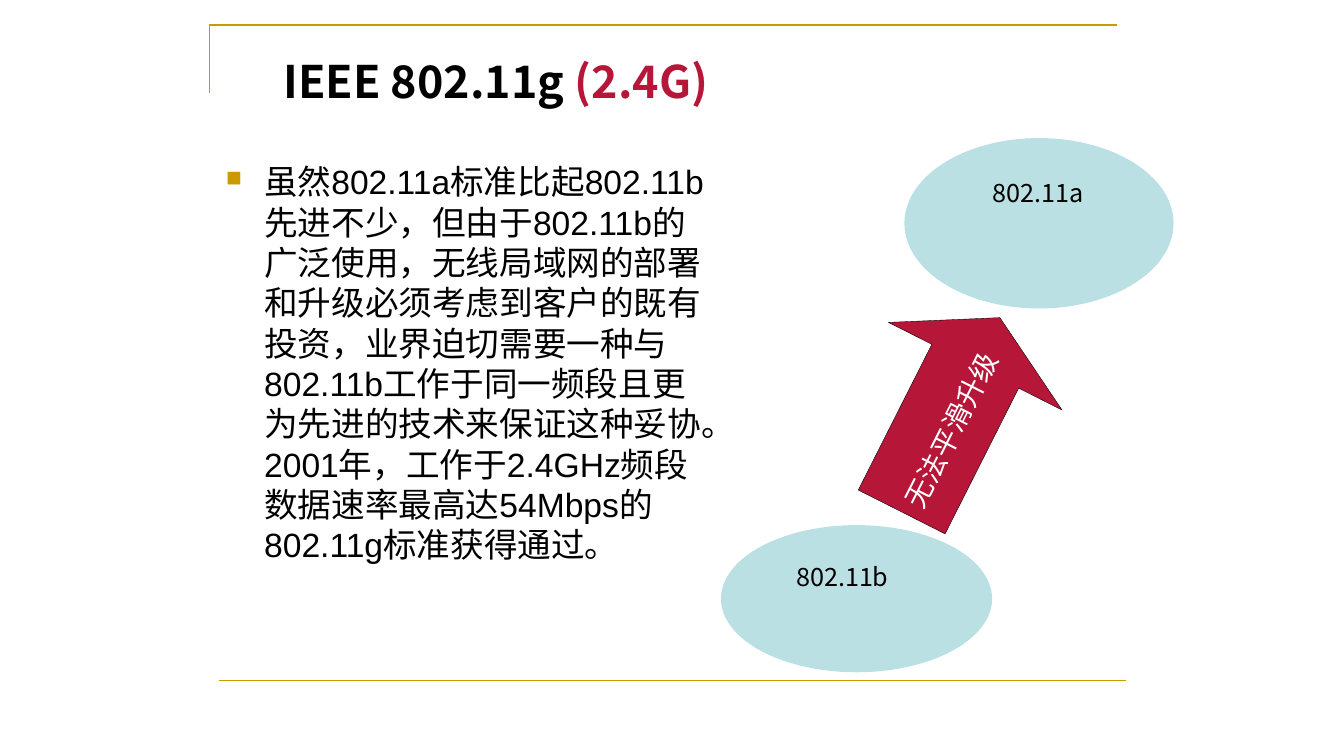
from itertools import groupby

from lxml.etree import SubElement
from pptx import Presentation
from pptx.dml.color import RGBColor
from pptx.enum.shapes import MSO_CONNECTOR as Connector, MSO_SHAPE as Shape
from pptx.enum.text import MSO_ANCHOR as Anchor, PP_ALIGN as Align
from pptx.oxml.ns import qn
from pptx.util import Inches, Pt

COLORS = {"gold": "CC9900", "red": "B61638", "aqua": "BBE0E3",
          "black": "000000", "white": "FFFFFF"}
CJK, LATIN = "Noto Sans CJK SC", "Arial"
UPGRADE_ANGLE = 296.8
BODY = ("虽然802.11a标准比起802.11b先进不少，但由于802.11b的广泛使用，"
        "无线局域网的部署和升级必须考虑到客户的既有投资，业界迫切需要一种与"
        "802.11b工作于同一频段且更为先进的技术来保证这种妥协。2001年，工作于"
        "2.4GHz频段数据速率最高达54Mbps的802.11g标准获得通过。")


def rgb(name):
    return RGBColor.from_string(COLORS[name])


def add_span(para, text, size, font=CJK, color="black", bold=False):
    span = para.add_run()
    span.text = text
    span.font.size, span.font.bold, span.font.name = Pt(size), bold, font
    span.font.color.rgb = rgb(color)
    SubElement(span.font._element, qn("a:ea"), typeface=font)


class SlideBuilder:
    def __init__(self, page):
        self.shapes = page.shapes

    def outline(self, shape, color, width):
        shape.line.color.rgb = rgb(color)
        shape.line.width = Pt(width)

    def corner(self, points):
        (x, y), *rest = [(Inches(x), Inches(y)) for x, y in points]
        builder = self.shapes.build_freeform(x, y)
        builder.add_line_segments(rest, close=False)
        corner = builder.convert_to_shape()
        corner.shadow.inherit = False
        corner.fill.background()
        self.outline(corner, "gold", 1)

    def rule(self, left, right, y):
        rule = self.shapes.add_connector(
            Connector.STRAIGHT, Inches(left), Inches(y), Inches(right), Inches(y))
        self.outline(rule, "gold", 1)
        SubElement(rule._element.spPr, qn("a:effectLst"))

    def shape(self, kind, area, fill):
        shape = self.shapes.add_shape(kind, *map(Inches, area))
        shape.shadow.inherit = False
        shape.fill.solid()
        shape.fill.fore_color.rgb = rgb(fill)
        shape.line.fill.background()
        return shape

    def text(self, area, align=Align.LEFT, spacing=1.4, wrap=True, anchor=Anchor.TOP):
        """Add a text box and return it with its first paragraph."""
        box = self.shapes.add_textbox(*map(Inches, area))
        frame = box.text_frame
        frame.word_wrap, frame.vertical_anchor = wrap, anchor
        frame.margin_left = frame.margin_right = Inches(0.05)
        frame.margin_top = frame.margin_bottom = Inches(0.05)
        para = frame.paragraphs[0]
        para.alignment, para.line_spacing = align, spacing
        props = para._p.get_or_add_pPr()
        props.set("marL", str(Inches(0.38)))
        props.set("indent", str(-Inches(0.38)))
        return box, para

    def standard(self, ellipse_area, label_area, name):
        self.shape(Shape.OVAL, ellipse_area, "aqua")
        _, para = self.text(label_area, align=Align.CENTER)
        add_span(para, name, 18)

    def upgrade_arrow(self, area, label_area, label):
        arrow = self.shape(Shape.RIGHT_ARROW, area, "red")
        arrow.adjustments[0], arrow.adjustments[1] = 0.5, 0.28
        self.outline(arrow, "black", 0.25)
        box, para = self.text(label_area, align=Align.CENTER, wrap=False,
                              anchor=Anchor.MIDDLE)
        add_span(para, label, 20, color="white")
        arrow.rotation = box.rotation = UPGRADE_ANGLE

    def bullet_text(self, area, text):
        _, para = self.text(area, spacing=1.0)
        props = para._p.get_or_add_pPr()
        bullet_color = SubElement(props, qn("a:buClr"))
        SubElement(bullet_color, qn("a:srgbClr"), val=COLORS["gold"])
        SubElement(props, qn("a:buSzPct"), val="65000")
        SubElement(props, qn("a:buChar"), char="■")
        for is_latin, letters in groupby(text, str.isascii):
            add_span(para, "".join(letters), 24, font=LATIN if is_latin else CJK)


def main():
    deck = Presentation()
    deck.slide_width, deck.slide_height = Inches(13.33), Inches(7.5)
    slide = SlideBuilder(deck.slides.add_slide(deck.slide_layouts[6]))

    slide.corner([(2.08, 0.92), (2.08, 0.25), (11.08, 0.25)])
    slide.rule(2.17, 11.17, 6.75)

    _, title = slide.text((2.76, 0.27, 8, 0.63))
    add_span(title, "IEEE 802.11g ", 32, bold=True)
    add_span(title, "(2.4G)", 32, color="red", bold=True)

    slide.standard((7.15, 5.21, 2.69, 1.46), (7.68, 5.4, 1.35, 0.41), "802.11b")
    slide.upgrade_arrow((8.35, 3.15, 2.16, 1.93), (8.48, 3.99, 1.78, 0.49),
                        "无法平滑升级")
    slide.standard((8.97, 1.37, 2.67, 1.69), (9.63, 1.59, 1.33, 0.41), "802.11a")
    slide.bullet_text((2.19, 1.55, 4.92, 4.74), BODY)

    deck.save("out.pptx")


if __name__ == "__main__":
    main()
